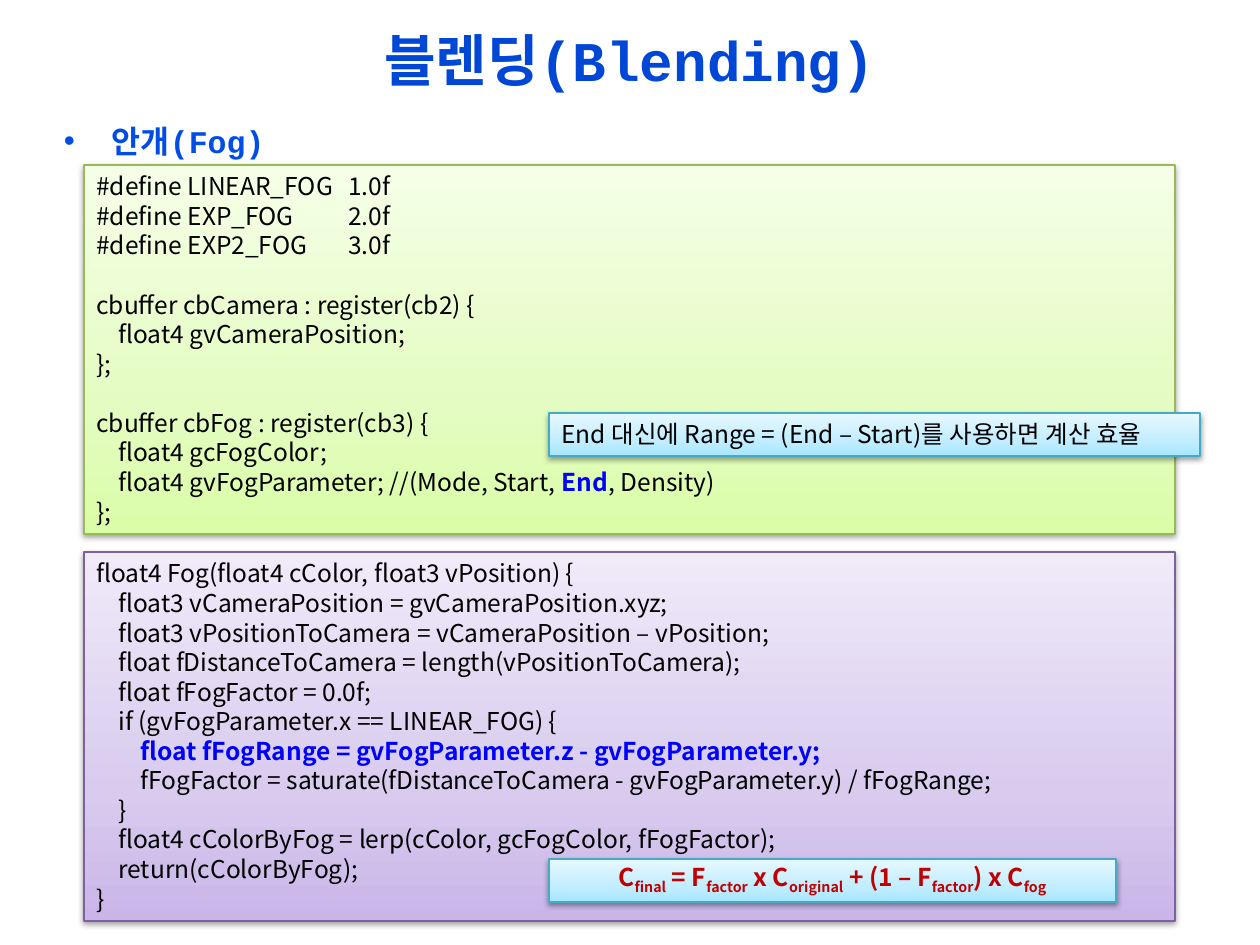
"""Build the fog blending slide with its shader code panels."""
from dataclasses import dataclass

from lxml import etree
from pptx import Presentation
from pptx.dml.color import RGBColor
from pptx.enum.shapes import MSO_SHAPE
from pptx.enum.text import MSO_ANCHOR, MSO_AUTO_SIZE, PP_ALIGN
from pptx.oxml import parse_xml
from pptx.oxml.ns import qn
from pptx.util import Inches, Pt

RECTANGLE = MSO_SHAPE.RECTANGLE
TOP, MIDDLE = MSO_ANCHOR.TOP, MSO_ANCHOR.MIDDLE
LEFT, CENTER = PP_ALIGN.LEFT, PP_ALIGN.CENTER
NO_AUTOFIT = MSO_AUTO_SIZE.NONE
NAMESPACE = 'xmlns:a="http://schemas.openxmlformats.org/drawingml/2006/main"'
HEADING_FONT, CODE_FONT = "Courier New", "Noto Sans CJK KR"
CODE_LINE = Pt(16.9)

TITLE_BLUE = RGBColor(0x00, 0x47, 0xD6)
TOPIC_BLUE = RGBColor(0x00, 0x4D, 0xE6)
ACCENT_BLUE = RGBColor(0x00, 0x00, 0xFF)
FORMULA_RED = RGBColor(0xC0, 0x00, 0x00)
BLACK = RGBColor(0x00, 0x00, 0x00)


@dataclass(frozen=True)
class Theme:
    """Gradient colours from bottom to top, and the border colour."""
    bottom: RGBColor
    middle: RGBColor
    top: RGBColor
    border: RGBColor


@dataclass(frozen=True)
class Panel:
    """A shaded box: place in px, theme and text."""
    left: int
    top: int
    width: int
    height: int
    theme: Theme
    text: str
    wrap: bool = True


PURPLE = Theme(RGBColor(0xC9, 0xB5, 0xE8), RGBColor(0xD8, 0xCB, 0xEE),
               RGBColor(0xF0, 0xEA, 0xF9), RGBColor(0x7D, 0x60, 0xA0))
GREEN = Theme(RGBColor(0xDA, 0xFD, 0xA7), RGBColor(0xE4, 0xFC, 0xC2),
              RGBColor(0xF5, 0xFF, 0xE7), RGBColor(0x98, 0xB9, 0x55))
CYAN = Theme(RGBColor(0xA7, 0xE6, 0xFF), RGBColor(0xC1, 0xED, 0xFF),
             RGBColor(0xE7, 0xF8, 0xFF), RGBColor(0x46, 0xAA, 0xC5))

FOG_FUNCTION = """float4 Fog(float4 cColor, float3 vPosition) {
    float3 vCameraPosition = gvCameraPosition.xyz;
    float3 vPositionToCamera = vCameraPosition – vPosition;
    float fDistanceToCamera = length(vPositionToCamera);
    float fFogFactor = 0.0f;
    if (gvFogParameter.x == LINEAR_FOG) {
        |float fFogRange = gvFogParameter.z - gvFogParameter.y;|
        fFogFactor = saturate(fDistanceToCamera - gvFogParameter.y) / fFogRange;
    }
    float4 cColorByFog = lerp(cColor, gcFogColor, fFogFactor);
    return(cColorByFog);
}"""
FOG_CONSTANTS = """#define LINEAR_FOG \t1.0f
#define EXP_FOG\t2.0f
#define EXP2_FOG\t3.0f

cbuffer cbCamera : register(cb2) {
    float4 gvCameraPosition;
};

cbuffer cbFog : register(cb3) {
    float4 gcFogColor;
    float4 gvFogParameter; //(Mode, Start, |End|, Density)
};"""
RANGE_TIP = "End 대신에 Range = (End – Start)를 사용하면 계산 효율"
FOG_FORMULA = "C|final| = F|factor| x C|original| + (1 – F|factor|) x C|fog|"

CODE_PANELS = (
    Panel(84, 552, 1091, 369, PURPLE, FOG_FUNCTION),
    Panel(84, 165, 1091, 369, GREEN, FOG_CONSTANTS),
    Panel(549, 413, 651, 43, CYAN, RANGE_TIP, wrap=False),
)
FORMULA_PANEL = Panel(549, 859, 567, 43, CYAN, FOG_FORMULA)


def px(length: int) -> int:
    """Turn px into EMU."""
    return round(length * Inches(1) / 126)


def shadow_effect(blur: int, distance: int, angle: int, alpha: int):
    """Return an outer shadow effect list."""
    return parse_xml(
        f'<a:effectLst {NAMESPACE}><a:outerShdw blurRad="{blur}" dist="{distance}" '
        f'dir="{angle * 60000}" algn="tl" rotWithShape="0"><a:srgbClr val="000000">'
        f'<a:alpha val="{alpha * 1000}"/></a:srgbClr></a:outerShdw></a:effectLst>')


def write_text(frame, text: str, *, font: str = CODE_FONT, size: int = 14,
               color: RGBColor = BLACK, bold: bool = False,
               accent: RGBColor = ACCENT_BLUE, subscripts: bool = False,
               align=LEFT, anchor=TOP, wrap: bool = True, line_height=None) -> None:
    """Write one paragraph per line; bars enclose accented or subscript runs."""
    frame.auto_size = NO_AUTOFIT
    frame.word_wrap = wrap
    frame.vertical_anchor = anchor
    for index, line in enumerate(text.split("\n")):
        paragraph = frame.paragraphs[0] if index == 0 else frame.add_paragraph()
        paragraph.alignment = align
        if line_height:
            paragraph.line_spacing = line_height
        paragraph.font.size = Pt(size)
        for position, part in enumerate(line.split("|")):
            if not part:
                continue
            marked = position % 2 == 1
            run = paragraph.add_run()
            run.text = part
            run.font.size = Pt(size)
            run.font.bold = bold or marked
            run.font.color.rgb = accent if marked else color
            run.font.name = font
            properties = run.font._element
            east_asian = etree.Element(qn("a:ea"), typeface=CODE_FONT)
            properties.find(qn("a:latin")).addnext(east_asian)
            if subscripts and marked:
                properties.set("baseline", "-25000")


def draw_panel(slide, panel: Panel, **text_format) -> None:
    """Draw a gradient box with a border, a shadow and its text."""
    box = slide.shapes.add_shape(RECTANGLE, px(panel.left), px(panel.top),
                                 px(panel.width), px(panel.height))
    box.line.color.rgb = panel.theme.border
    box.line.width = Pt(0.75)
    theme = panel.theme
    stops = "".join(
        f'<a:gs pos="{percent * 1000}"><a:srgbClr val="{color}"/></a:gs>'
        for percent, color in ((0, theme.bottom), (35, theme.middle), (100, theme.top)))
    properties = box._element.spPr
    properties.find(qn("a:prstGeom")).addnext(parse_xml(
        f'<a:gradFill {NAMESPACE} rotWithShape="1"><a:gsLst>{stops}</a:gsLst>'
        '<a:lin ang="16200000" scaled="0"/></a:gradFill>'))
    properties.append(shadow_effect(40000, 20000, 90, 38))
    write_text(box.text_frame, panel.text, wrap=panel.wrap,
               line_height=CODE_LINE, **text_format)


def draw_title(slide) -> None:
    """Place the title and give its letters a shadow."""
    title = slide.shapes.title
    title.left, title.top, title.width, title.height = 0, 0, px(1260), px(118)
    write_text(title.text_frame, "블렌딩(Blending)", font=HEADING_FONT, size=32,
               color=TITLE_BLUE, bold=True, align=CENTER, anchor=MIDDLE)
    letters = title.text_frame.paragraphs[0].runs[0].font._element
    letters.find(qn("a:solidFill")).addnext(shadow_effect(38100, 38100, 45, 43))


def draw_topic(slide) -> None:
    """Write the bulleted topic below the title."""
    frame = slide.shapes.add_textbox(0, px(116), px(1260), px(829)).text_frame
    frame.margin_left, frame.margin_right = px(64), px(54)
    properties = frame.paragraphs[0]._p.get_or_add_pPr()
    properties.set("marL", str(px(48)))
    properties.set("indent", str(-px(48)))
    etree.SubElement(properties, qn("a:buFont"), typeface="Arial")
    etree.SubElement(properties, qn("a:buChar"), char="•")
    write_text(frame, "안개(Fog)", font=HEADING_FONT, size=18,
               color=TOPIC_BLUE, bold=True)


def main() -> None:
    """Build and save the slide."""
    deck = Presentation()
    deck.slide_width, deck.slide_height = px(1260), px(945)
    slide = deck.slides.add_slide(deck.slide_layouts[5])
    draw_title(slide)
    draw_topic(slide)
    for panel in CODE_PANELS:
        draw_panel(slide, panel)
    draw_panel(slide, FORMULA_PANEL, color=FORMULA_RED, accent=FORMULA_RED,
               bold=True, subscripts=True, align=CENTER, anchor=MIDDLE)
    deck.save("out.pptx")


if __name__ == "__main__":
    main()
